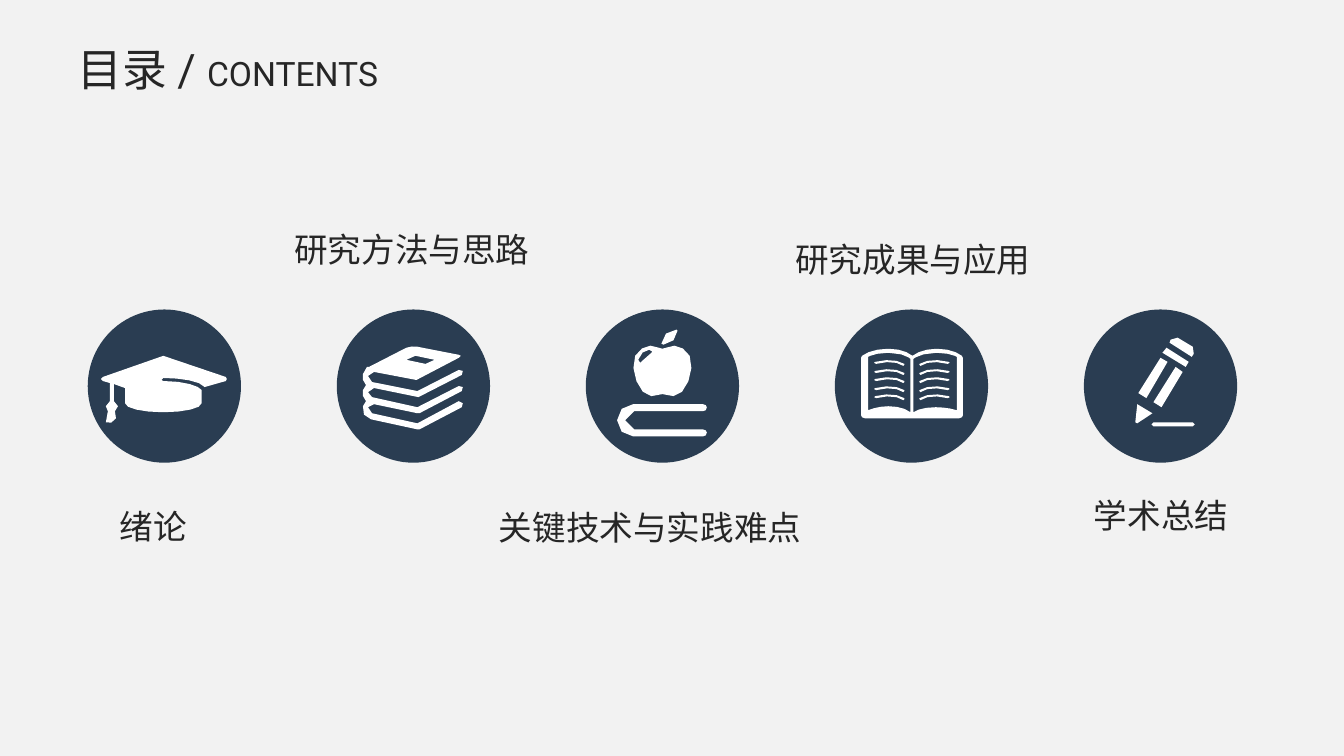
from lxml import etree
from pptx import Presentation
from pptx import util as u
from pptx.dml.color import RGBColor
from pptx.enum import shapes, text
from pptx.oxml import ns

PX = 9144  # EMU; 100 px to the inch
BACKGROUND = RGBColor(0xF2, 0xF2, 0xF2)
NAVY = RGBColor(0x2A, 0x3D, 0x52)
WHITE = RGBColor(0xFF, 0xFF, 0xFF)
INK = RGBColor(0x26, 0x26, 0x26)
CJK_FONT = "Noto Sans CJK SC"
LATIN_FONT = "Roboto"

CIRCLE_SIZE = 152
CIRCLE_PITCH = 247
CURVE_STEP = 10  # px covered by one short line of a curve
MAX_STEPS = 4
BOOK_LINES = 5
BOOK_LINE_PITCH = 8.6
BOOK_WIDTH = 153  # left edge plus right edge of the book, for mirroring

# Outlines in px inside the circle's box. "x,y" is a corner, six numbers are a
# cubic curve, and "|" starts the next contour.
CAP = """15,67 75,46 137,67 138,69 137,71
    116,77 112,71,92,68,75,68 73,70 75,71
    96,71,111,76,113,80 113,93 113,98,96,102,75,102 54,102,37,98,37,93
    37,78 26,74 26,91 29,92,30,94,30,96 30,99,29,100,27,101 28,108
    29,111,18,115,18,112 20,101 19,100,18,98,18,96 18,94,20,92,22,91
    22,73 15,71 13,69"""
BOOK_STACK = """80,103 82,103 124,81 125,77 121,76
    80,97 35,87 32,87,31,84,31,82 32,79,34,77,37,78 81,87 124,65
    125,61 121,60 80,81 35,72 32,71,31,68,31,66
    32,63,34,61,37,62 79,70 121,48 123,46 121,45 80,37
    77,36,72,37,69,38 32,57 30,57 28,59,26,61,26,64 25,68,26,72,29,75
    27,76,26,78,26,80 25,84,26,88,29,91 27,92,26,94,26,96
    24,102,28,108,34,109 80,119 82,119 124,97 125,93
    121,91 80,113 35,103 32,103,31,100,31,97 32,95,34,93,37,94
    | 78,46 97,50 88,54 69,50"""
APPLE = """120,122 119,125 116,126 47,126 38,126,31,119,31,110
    31,101,38,94,47,94 116,94 119,95 120,97 119,100 116,101
    48,101 43,101,39,105,39,110 39,115,43,119,48,119 116,119 119,120
    | 77,35 85,35,91,28,91,21 90,20 82,20,75,26,75,34
    | 103,46 100,40,93,36,88,36 82,36,81,39,76,39 71,39,70,36,64,36
    59,36,52,40,49,46 43,60,53,86,65,86 70,86,72,84,76,84 80,84,82,86,87,86
    99,86,109,60,103,46
    | 64,44 61,44,56,47,56,51 54,53 52,50 53,44,59,40,63,40 66,42"""
OPEN_BOOK = """126,46 121,42,112,39,101,39 91,39,82,42,77,46 72,42,64,39,53,39
    42,39,32,42,27,46 26,48 26,105 27,107 30,108 123,108 126,107 127,105 127,48
    | 75,49 75,102 70,98,62,96,53,96 45,96,38,98,33,100 33,47
    33,47,40,43,53,43 69,43,75,49,75,49
    | 121,47 121,100 115,98,107,97,100,97 90,97,82,99,78,102 78,49
    78,49,85,43,101,43 114,43,121,47,121,47"""
BOOK_LINE = "68,56 63,52,52,51,41,54 39,53 40,52 51,49,63,50,69,54 69,55"
PENCIL = """86,30 88,28,91,27,93,28 108,37 110,39,111,42,109,44 107,47 85,33
    | 82,38 78,43 101,57 104,52
    | 51,112 53,94 68,103 53,113
    | 54,83 76,48 83,52 62,88
    | 69,92 91,57 98,62 77,97
    | 69,112 108,112 110,114 108,116 69,116 67,114"""

# Topic, label box (left, top, width, height), icon outline
TOPICS = [
    ("绪论", (109, 497, 88, 50), CAP),
    ("研究方法与思路", (282, 222, 256, 50), BOOK_STACK),
    ("关键技术与实践难点", (485, 498, 323, 50), APPLE),
    ("研究成果与应用", (779, 232, 256, 50), OPEN_BOOK),
    ("学术总结", (1075, 486, 155, 50), PENCIL),
]


def to_emu(box):
    return [u.Emu(length * PX) for length in box]


def paint(shape, color):
    shape.fill.solid()
    shape.fill.fore_color.rgb = color
    shape.line.fill.background()
    shape.shadow.inherit = False


def add_run(paragraph, wording, size, font_name):
    run = paragraph.add_run()
    run.text = wording
    run.font.size = u.Pt(size)
    run.font.name = font_name
    run.font.color.rgb = INK
    east_asian = etree.SubElement(run._r.get_or_add_rPr(), ns.qn("a:ea"))
    east_asian.set("typeface", CJK_FONT)


def contour_points(contour):
    """Turn one contour into corner points, with its curves cut into short lines."""
    points = []
    for segment in contour.split():
        numbers = [int(number) for number in segment.split(",")]
        if len(numbers) == 2:
            points.append(tuple(numbers))
            continue
        controls = [points[-1], *zip(numbers[::2], numbers[1::2])]
        span = max(abs(end - start) for start, end in zip(controls[0], controls[-1]))
        steps = min(MAX_STEPS, 1 + int(span) // CURVE_STEP)
        for step in range(1, steps + 1):
            t = step / steps
            weights = ((1 - t) ** 3, 3 * t * (1 - t) ** 2, 3 * t * t * (1 - t), t ** 3)
            points.append(tuple(
                sum(weight * control[axis] for weight, control in zip(weights, controls))
                for axis in (0, 1)))
    return points


def add_outline(group, box, outline, down=0, mirrored=False):
    builder = None
    for contour in outline.split("|"):
        points = [((BOOK_WIDTH - x if mirrored else x) * PX, (y + down) * PX)
                  for x, y in contour_points(contour)]
        if builder is None:
            builder = group.shapes.build_freeform(*points[0])
        else:
            builder.move_to(*points[0])
        builder.add_line_segments(points[1:], close=True)
    left, top = to_emu(box[:2])
    paint(builder.convert_to_shape(left, top), WHITE)


def add_icon(slide, box, outline):
    group = slide.shapes.add_group_shape()
    circle = group.shapes.add_shape(shapes.MSO_SHAPE.OVAL, *to_emu(box))
    paint(circle, NAVY)
    add_outline(group, box, outline)
    if outline == OPEN_BOOK:
        for mirrored in (False, True):
            for row in range(BOOK_LINES):
                add_outline(group, box, BOOK_LINE, round(row * BOOK_LINE_PITCH), mirrored)


def add_label(slide, box, wording):
    label = slide.shapes.add_textbox(*to_emu(box))
    label.text_frame.word_wrap = False
    label.text_frame.auto_size = text.MSO_AUTO_SIZE.SHAPE_TO_FIT_TEXT
    add_run(label.text_frame.paragraphs[0], wording, 24, CJK_FONT)


def add_title(slide, box):
    title = slide.shapes.title
    title.left, title.top, title.width, title.height = to_emu(box)
    frame = title.text_frame
    frame.word_wrap = True
    frame.auto_size = text.MSO_AUTO_SIZE.SHAPE_TO_FIT_TEXT
    frame.vertical_anchor = text.MSO_ANCHOR.TOP
    paragraph = frame.paragraphs[0]
    paragraph.alignment = text.PP_ALIGN.CENTER
    add_run(paragraph, "目录 / ", 32, LATIN_FONT)
    add_run(paragraph, "CONTENTS", 24, LATIN_FONT)


def add_topics(slide, left, top):
    for index, (wording, label_box, outline) in enumerate(TOPICS):
        circle_box = (left + index * CIRCLE_PITCH, top, CIRCLE_SIZE, CIRCLE_SIZE)
        add_icon(slide, circle_box, outline)
        add_label(slide, label_box, wording)


def main():
    presentation = Presentation()
    presentation.slide_width, presentation.slide_height = to_emu((1333, 750))
    slide = presentation.slides.add_slide(presentation.slide_layouts[5])
    slide.background.fill.solid()
    slide.background.fill.fore_color.rgb = BACKGROUND
    add_title(slide, (26, 36, 400, 64))
    add_topics(slide, 87, 307)
    presentation.save("out.pptx")


if __name__ == "__main__":
    main()
